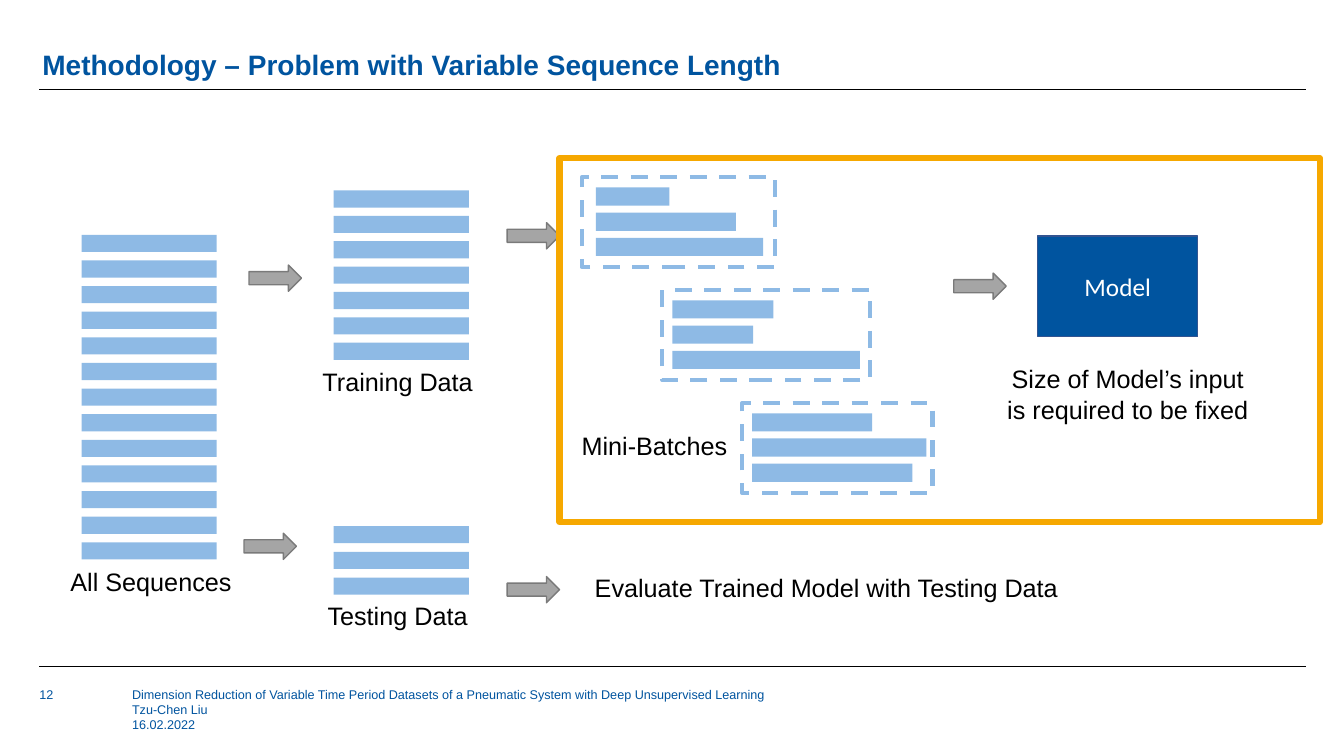
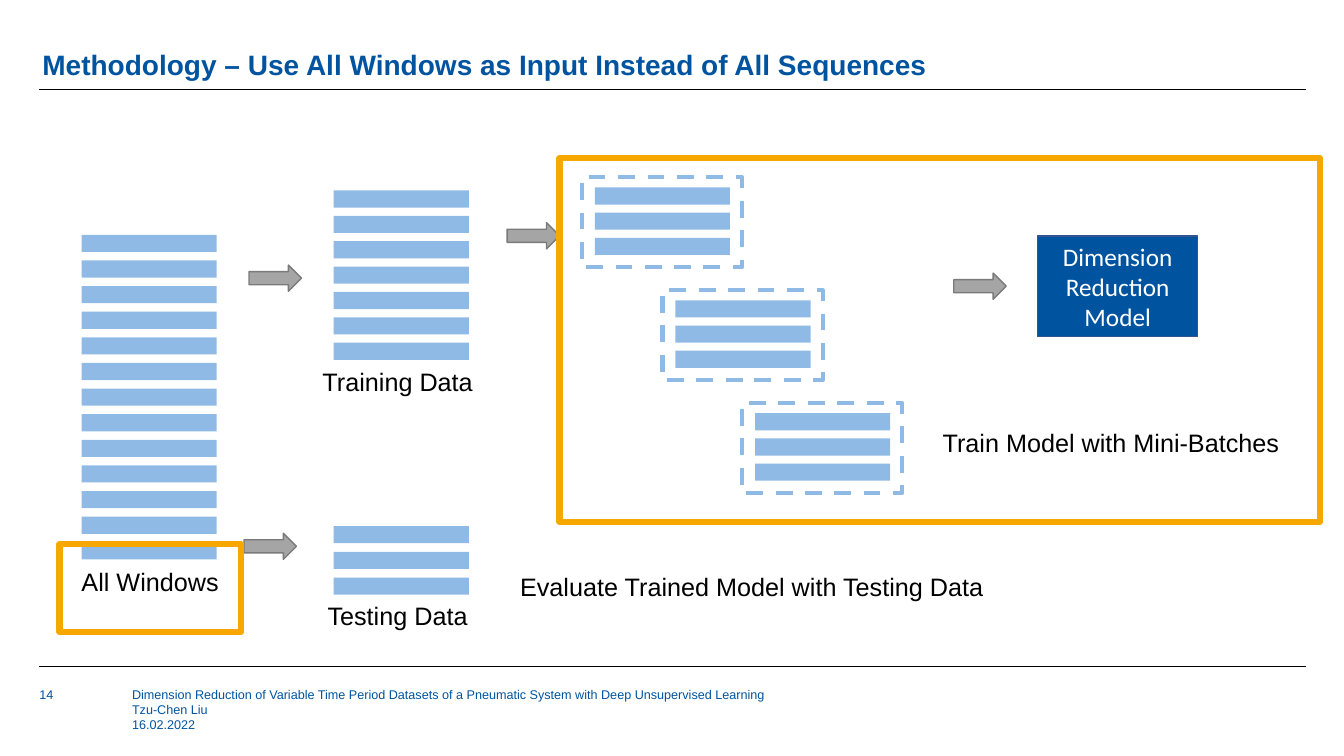
from lxml.etree import SubElement
from pptx import Presentation
from pptx.dml.color import RGBColor
from pptx.enum.dml import MSO_LINE
from pptx.enum.shapes import MSO_CONNECTOR, MSO_SHAPE
from pptx.enum.text import MSO_ANCHOR, MSO_AUTO_SIZE, PP_ALIGN
from pptx.oxml.ns import qn
from pptx.util import Emu, Pt

PX = 9144
BLUE, BLUE_EDGE, LIGHT_BLUE = "00549F", "325491", "8EBAE5"
GREY, GREY_EDGE, ORANGE = "A5A5A5", "7A7A7A", "F6A800"
BLACK, WHITE = "000000", "FFFFFF"
BAR_WIDTH, BAR_HEIGHT = 134, 17
FOOTER = [
    "Dimension Reduction of Variable Time Period Datasets of a Pneumatic System "
    "with Deep Unsupervised Learning",
    "Tzu-Chen Liu",
    "16.02.2022",
]
BATCH_ORIGINS = [(577, 176), (657, 288), (736, 400)]
EVALUATE = "Evaluate Trained Model with Testing Data"


def px(*values):
    return [Emu(round(v * PX)) for v in values]


def color(value):
    return RGBColor.from_string(value)


def write(tf, lines, size, ink, font="Arial", bold=False, align=PP_ALIGN.LEFT):
    for i, line in enumerate(lines):
        p = tf.paragraphs[0] if i == 0 else tf.add_paragraph()
        p.text = line
        p.alignment = align
        p.font.name, p.font.size, p.font.bold = font, Pt(size), bold
        p.font.color.rgb = color(ink)


def add_plain_text(s, box, lines, size, bold=False, anchor=MSO_ANCHOR.TOP):
    tf = s.shapes.add_textbox(*px(*box)).text_frame
    tf.margin_left = tf.margin_right = tf.margin_top = tf.margin_bottom = 0
    tf.word_wrap = True
    tf.vertical_anchor = anchor
    write(tf, lines, size, BLUE, bold=bold)
    return tf


def add_label(s, box, text, wrap=False):
    tf = s.shapes.add_textbox(*px(*box)).text_frame
    tf.word_wrap = wrap
    tf.auto_size = MSO_AUTO_SIZE.SHAPE_TO_FIT_TEXT
    write(tf, [text], 18, BLACK, align=PP_ALIGN.CENTER if wrap else PP_ALIGN.LEFT)


def add_box(s, box, fill=None, edge=None, weight=1, dash=None, kind=MSO_SHAPE.RECTANGLE):
    sp = s.shapes.add_shape(kind, *px(*box))
    sp.shadow.inherit = False
    if fill:
        sp.fill.solid()
        sp.fill.fore_color.rgb = color(fill)
    else:
        sp.fill.background()
    if edge:
        sp.line.color.rgb = color(edge)
        sp.line.width = Pt(weight)
        sp.line.dash_style = dash
    else:
        sp.line.fill.background()
    return sp


def add_arrow(s, left, top):
    add_box(s, (left, top, 52, 26), GREY, GREY_EDGE, kind=MSO_SHAPE.RIGHT_ARROW)


def add_frame(s, box):
    add_box(s, box, edge=ORANGE, weight=4.5)


def add_bars(s, left, first_top, last_top, widths, height=BAR_HEIGHT):
    pitch = (last_top - first_top) / (len(widths) - 1)
    for i, width in enumerate(widths):
        add_box(s, (left, first_top + i * pitch, width, height), LIGHT_BLUE)


def add_batch(s, origin, width, inset, bar_widths, bar_height=BAR_HEIGHT):
    left, top = origin
    add_box(s, (left, top, width, 89), edge=LIGHT_BLUE, weight=3, dash=MSO_LINE.DASH)
    add_bars(s, left + inset, top + 10, top + 60, bar_widths, bar_height)


def add_rule(s, y):
    line = s.shapes.add_connector(MSO_CONNECTOR.STRAIGHT, *px(39, y, 1295, y))
    line.line.color.rgb = color(BLACK)
    line.line.width = Pt(0.5)
    SubElement(line._element.spPr, qn("a:effectLst"))


def add_base_slide(prs, title, number):
    s = prs.slides.add_slide(prs.slide_layouts[6])
    add_plain_text(s, (131, 681, 766, 69), FOOTER, 9)
    for y in (89, 661):
        add_rule(s, y)
    add_plain_text(s, (39, 681, 80, 43), [number], 9)
    tf = add_plain_text(s, (42, 22, 1256, 59), [title], 20, True, MSO_ANCHOR.BOTTOM)
    tf.paragraphs[0].line_spacing = 0.9
    return s


def add_pipeline(s, model_lines):
    for left, top in [(247, 263), (242, 529), (503, 221), (946, 271)]:
        add_arrow(s, left, top)
    tf = add_box(s, (1029, 234, 159, 100), BLUE, BLUE_EDGE).text_frame
    tf.word_wrap = True
    tf.vertical_anchor = MSO_ANCHOR.MIDDLE
    write(tf, model_lines, 18, WHITE, "Calibri", align=PP_ALIGN.CENTER)
    for left, first, last, count in [(81, 233, 538, 13), (331, 189, 340, 7), (331, 522, 573, 3)]:
        add_bars(s, left, first, last, [BAR_WIDTH] * count)
    add_label(s, (310, 358, 176, 35), "Training Data")
    add_label(s, (315, 591, 165, 35), "Testing Data")
    add_frame(s, (555, 157, 754, 361))


def build_sequences_slide(prs):
    s = add_base_slide(prs, "Methodology – Problem with Variable Sequence Length", "12")
    add_pipeline(s, ["Model"])
    add_arrow(s, 503, 572)
    add_label(s, (60, 557, 181, 40), "All Sequences")
    add_label(s, (985, 356, 267, 71), "Size of Model’s input is required to be fixed", wrap=True)
    add_label(s, (580, 563, 498, 35), EVALUATE)
    add_label(s, (567, 422, 166, 40), "Mini-Batches")
    batches = [
        (192, 14, (73, 139, 166)),
        (206, 10, (100, 80, 186)),
        (189, 10, (119, 173, 159)),
    ]
    for origin, (width, inset, bar_widths) in zip(BATCH_ORIGINS, batches):
        add_batch(s, origin, width, inset, bar_widths, 18)


def build_windows_slide(prs):
    title = "Methodology – Use All Windows as Input Instead of All Sequences"
    s = add_base_slide(prs, title, "14")
    add_pipeline(s, ["Dimension Reduction", "Model"])
    add_label(s, (71, 557, 158, 40), "All Windows")
    add_label(s, (925, 419, 368, 35), "Train Model with Mini-Batches")
    add_label(s, (506, 562, 498, 35), EVALUATE)
    for origin in BATCH_ORIGINS:
        add_batch(s, origin, 159, 13, [BAR_WIDTH] * 3)
    add_frame(s, (59, 540, 180, 87))


def main():
    prs = Presentation()
    prs.slide_width, prs.slide_height = px(1333, 750)
    build_sequences_slide(prs)
    build_windows_slide(prs)
    prs.save("out.pptx")


if __name__ == "__main__":
    main()
